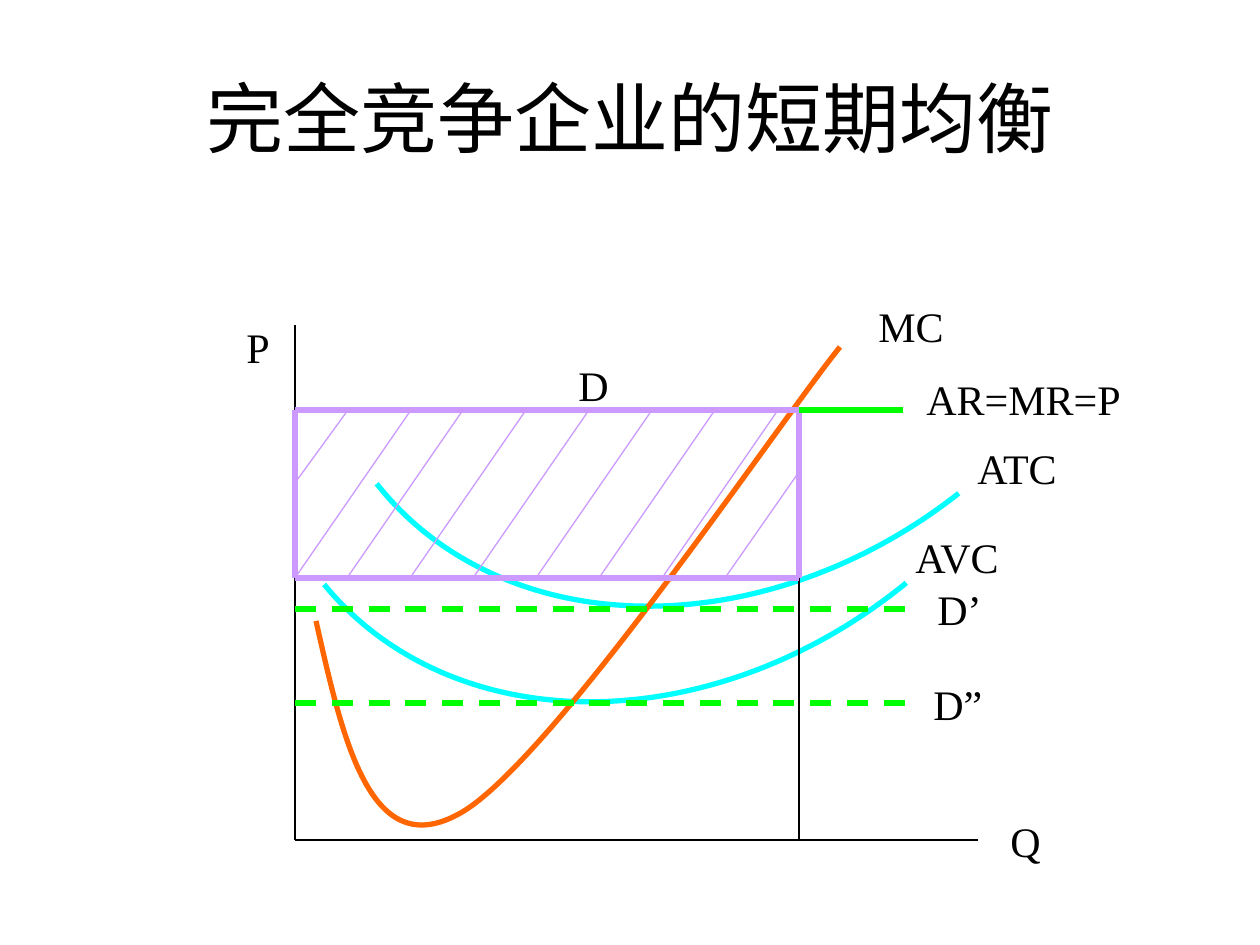
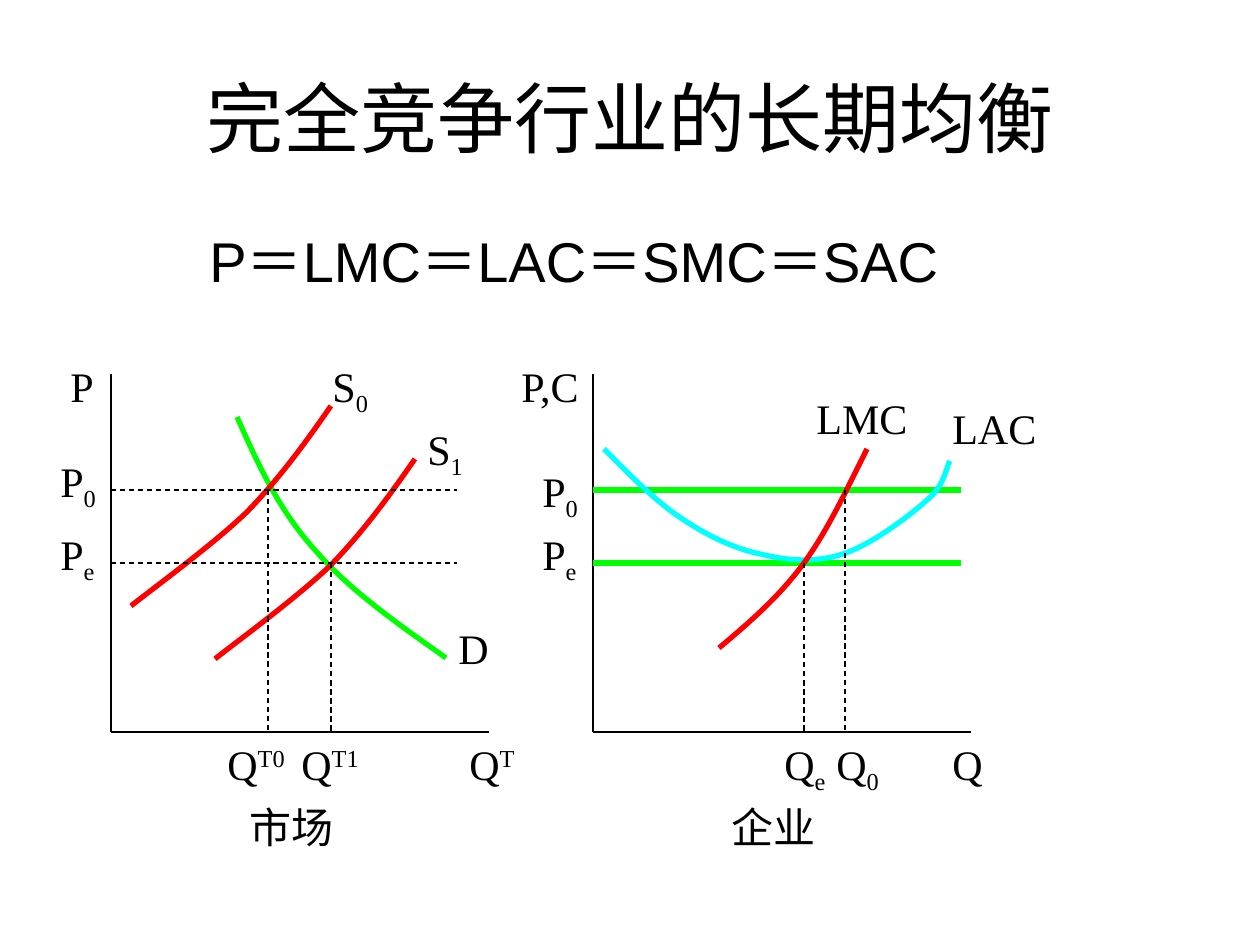
from lxml import etree
from pptx import Presentation
from pptx.dml.color import RGBColor
from pptx.enum.dml import MSO_LINE
from pptx.enum.shapes import MSO_CONNECTOR, MSO_SHAPE
from pptx.enum.text import MSO_ANCHOR, MSO_AUTO_SIZE as AUTO, PP_ALIGN
from pptx.oxml.ns import qn
from pptx.util import Pt

PX = 914400 / 126
COLORS = {
    "ink": "000000",
    "average": "00FFFF",
    "marginal": "FF6600",
    "profit": "CC99FF",
    "demand": "00FF00",
    "supply": "FF0000",
}
THIN, THICK = 0.75, 3
BASELINES = {"_": "-25000", "^": "30000"}


def emu(px):
    return round(px * PX)


def color(name):
    return RGBColor.from_string(COLORS[name])


def write(frame, text, *, size=24, font="Times New Roman", ink="ink",
          align=PP_ALIGN.LEFT, anchor=MSO_ANCHOR.TOP, wrap=True, fit=AUTO.NONE):
    """Fill the frame; "_" starts a subscript and "^" a superscript."""
    frame.word_wrap = wrap
    frame.auto_size = fit
    frame.vertical_anchor = anchor
    para = frame.paragraphs[0]
    para.alignment = align
    mark = next((char for char in text if char in BASELINES), None)
    for index, part in enumerate(text.split(mark) if mark else [text]):
        span = para.add_run()
        span.text = part
        span.font.size = Pt(size)
        span.font.name = font
        span.font.color.rgb = color(ink)
        if index:
            span._r.get_or_add_rPr().set("baseline", BASELINES[mark])


def bend(shape):
    """Turn each three straight segments of a freeform into one cubic curve."""
    outline = next(shape._element.iter(qn("a:path")))
    segments = outline.findall(qn("a:lnTo"))
    for first in range(0, len(segments), 3):
        cubic = etree.SubElement(outline, qn("a:cubicBezTo"))
        for segment in segments[first:first + 3]:
            cubic.append(segment[0])
            outline.remove(segment)


class Diagram:
    def __init__(self):
        self.deck = Presentation()
        self.deck.slide_width, self.deck.slide_height = emu(1260), emu(945)
        self.page = None

    def add_page(self, title):
        self.page = self.deck.slides.add_slide(self.deck.slide_layouts[5])
        box = self.page.shapes.title
        box.left, box.top, box.width, box.height = map(emu, (63, 38, 1134, 157))
        write(box.text_frame, title, size=44, font="Arial",
              align=PP_ALIGN.CENTER, anchor=MSO_ANCHOR.MIDDLE)

    def label(self, text, left, top, width, height=63, **style):
        box = self.page.shapes.add_textbox(*map(emu, (left, top, width, height)))
        write(box.text_frame, text, **{"fit": AUTO.SHAPE_TO_FIT_TEXT, **style})

    def line(self, x1, y1, x2, y2, ink="ink", weight=THIN, dashed=False):
        connector = self.page.shapes.add_connector(
            MSO_CONNECTOR.STRAIGHT, *map(emu, (x1, y1, x2, y2)))
        connector.line.color.rgb = color(ink)
        connector.line.width = Pt(weight)
        if dashed:
            connector.line.dash_style = MSO_LINE.DASH
        etree.SubElement(connector._element.spPr, qn("a:effectLst"))

    def axes(self, left, top, right, bottom):
        self.line(left, top, left, bottom)
        self.line(left, bottom, right, bottom)

    def outline(self, shape, ink):
        shape.shadow.inherit = False
        shape.fill.background()
        shape.line.color.rgb = color(ink)
        shape.line.width = Pt(THICK)

    def arc(self, left, top, width, height, rotation, ink):
        shape = self.page.shapes.add_shape(
            MSO_SHAPE.ARC, *map(emu, (left, top, width, height)))
        shape.rotation = rotation
        self.outline(shape, ink)

    def curve(self, points, ink):
        start, *rest = [(emu(x), emu(y)) for x, y in points]
        builder = self.page.shapes.build_freeform(*start)
        builder.add_line_segments(rest, close=False)
        shape = builder.convert_to_shape()
        bend(shape)
        self.outline(shape, ink)


def short_run(diagram):
    diagram.add_page("完全竞争企业的短期均衡")
    left, right, price, cost, bottom = 295, 799, 410, 578, 840
    diagram.axes(left, 325, 978, bottom)
    diagram.arc(222, -69, 903, 735, 140.7, "average")
    diagram.arc(280, -163, 903, 735, 141.8, "average")
    diagram.curve([(316, 621), (343, 741), (370, 861), (457, 815),
                   (546, 770), (777, 425), (840, 347)], "marginal")
    diagram.line(right, price, right, bottom)

    hatch = [(348, price, left, 483), (right, 472, 725, cost)]
    hatch += [(foot + 116, price, foot, cost) for foot in (left, *range(347, 663, 63))]
    for stroke in hatch:
        diagram.line(*stroke, "profit")
    for y in (price, cost):
        diagram.line(left, y, right, y, "profit", THICK)
    for x in (left, right):
        diagram.line(x, price, x, cost, "profit", THICK)
    diagram.line(right, price, 903, price, "demand", THICK)
    for y in (609, 703):
        diagram.line(left, y, 913, y, "demand", THICK, dashed=True)

    for text, x, y, width in (
            ("P", 234, 315, 48), ("Q", 998, 809, 55), ("D", 566, 353, 55),
            ("MC", 866, 294, 91), ("AR=MR=P", 914, 367, 222),
            ("ATC", 965, 436, 108), ("AVC", 903, 525, 113),
            ("D’", 925, 577, 72), ("D”", 921, 672, 74)):
        diagram.label(text, x, y, width, wrap=False)


def long_run(diagram):
    diagram.add_page("完全竞争行业的长期均衡")
    diagram.label("P＝LMC＝LAC＝SMC＝SAC", 197, 220, 1000, 116,
                  size=32, font="Arial", fit=AUTO.NONE)
    market, firm, bottom = 111, 593, 732
    start_price, end_price = 490, 563
    for left in (market, firm):
        diagram.axes(left, 374, left + 378, bottom)

    diagram.curve([(237, 417), (257, 462), (278, 509), (314, 549),
                   (349, 590), (398, 624), (446, 658)], "demand")
    supply = [(331, 406), (306, 442), (280, 478), (247, 512),
              (214, 544), (151, 590), (131, 606)]
    diagram.curve(supply, "supply")
    diagram.curve([(x + 84, y + 53) for x, y in supply], "supply")
    for y in (start_price, end_price):
        diagram.line(market, y, 457, y, dashed=True)
        diagram.line(firm, y, 961, y, "demand", THICK)
    diagram.curve([(604, 449), (627, 472), (650, 496), (675, 514), (702, 533),
                   (731, 548), (760, 554), (788, 561), (815, 563), (843, 554),
                   (871, 545), (908, 517), (926, 501), (945, 486), (946, 467),
                   (950, 461)], "average")
    diagram.curve([(867, 449), (847, 489), (828, 530), (804, 563),
                   (779, 597), (750, 622), (719, 648)], "supply")
    for x, y in ((268, start_price), (331, end_price), (804, end_price), (845, start_price)):
        diagram.line(x, y, x, bottom, dashed=True)

    for text, x, y, width in (
            ("P", 58, 354, 63), ("P_0", 48, 449, 73), ("P_e", 48, 522, 73),
            ("S_0", 320, 354, 84), ("S_1", 415, 417, 73), ("D", 446, 616, 53),
            ("Q^T0", 215, bottom, 95), ("Q^T1", 289, bottom, 95), ("Q^T", 457, bottom, 95),
            ("P,C", 509, 354, 105), ("P_0", 530, 459, 73), ("P_e", 530, 522, 73),
            ("LMC", 804, 386, 136), ("LAC", 940, 396, 136),
            ("Q_e", 772, bottom, 84), ("Q_0", 824, bottom, 84), ("Q", 940, bottom, 73),
            ("市场", 237, 795, 158), ("企业", 719, 795, 158)):
        diagram.label(text, x, y, width, 71 if "_" in text else 63)


def main():
    diagram = Diagram()
    short_run(diagram)
    long_run(diagram)
    diagram.deck.save("out.pptx")


if __name__ == "__main__":
    main()
